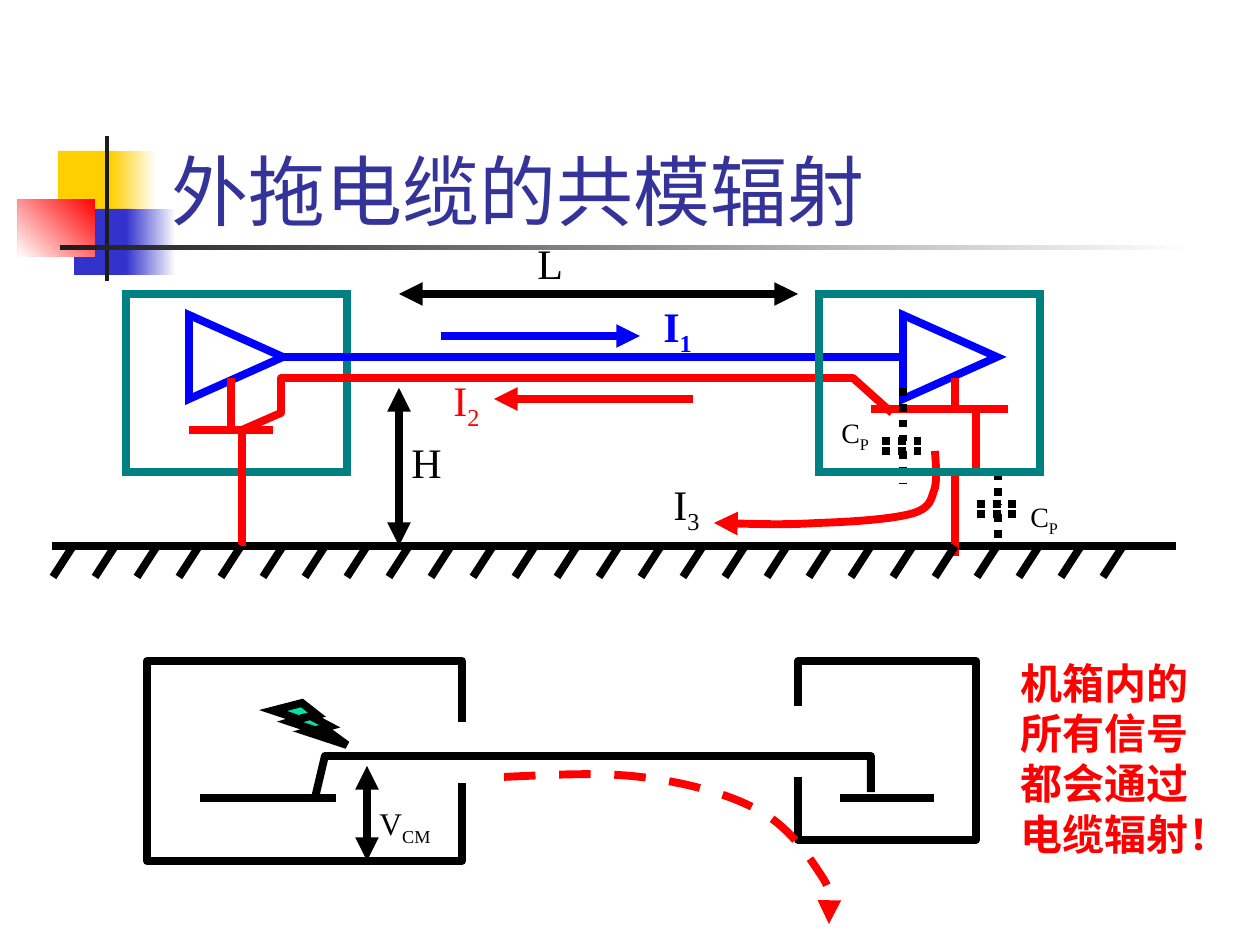
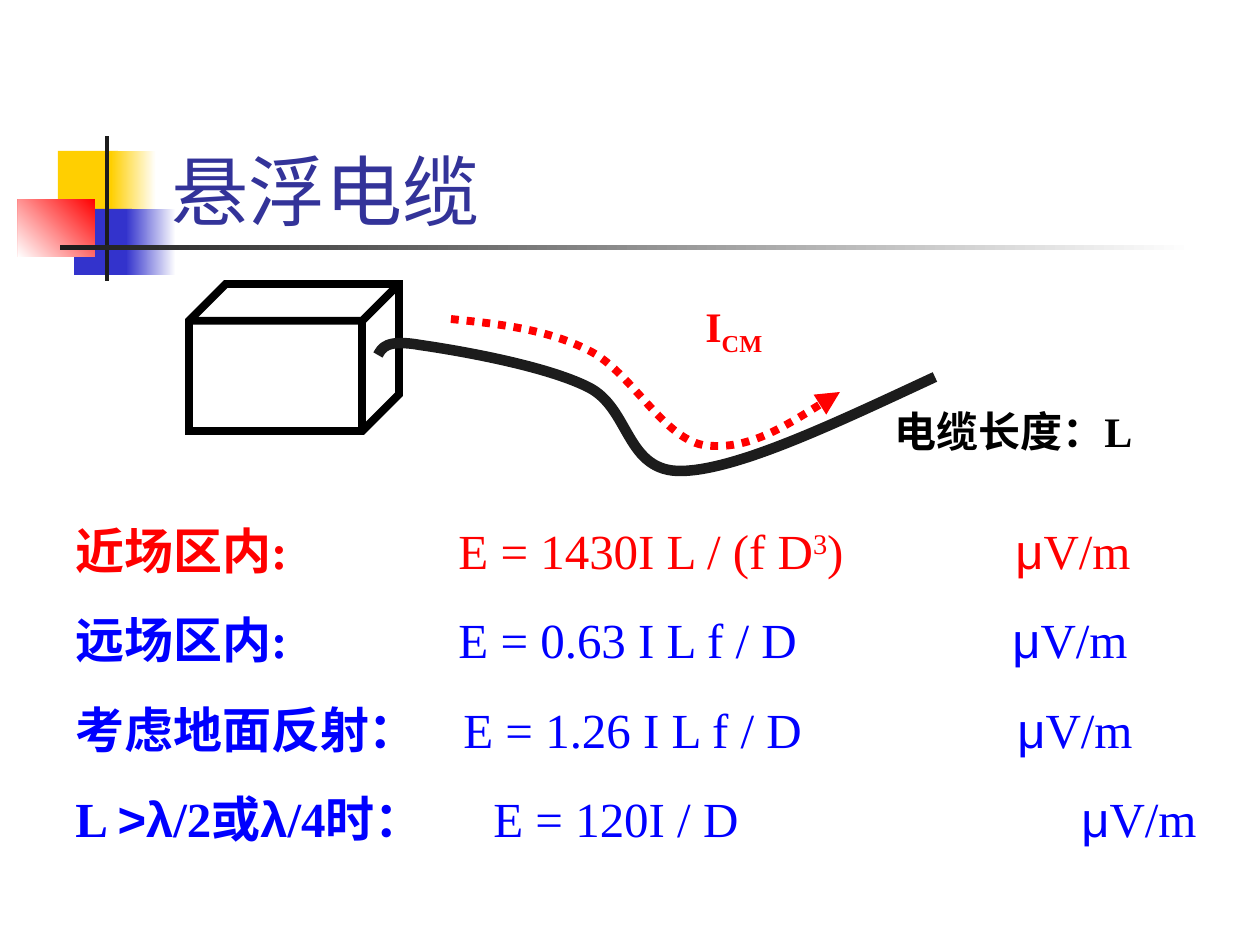
"""Build two slides on common-mode radiation from cables."""
from lxml import etree
from pptx import Presentation
from pptx import util as u
from pptx.dml.color import RGBColor
from pptx.enum import dml, shapes, text
from pptx.oxml.ns import qn

PX = 7257
BLACK = RGBColor(0, 0, 0)
WHITE = RGBColor(255, 255, 255)
RED = RGBColor(255, 0, 0)
BLUE = RGBColor(0, 0, 255)
TEAL = RGBColor(0, 128, 128)
MINT = RGBColor(0, 0xE4, 0xA8)
GOLD = RGBColor(0xFF, 0xCF, 0x01)
INDIGO = RGBColor(0x33, 0x33, 0xCC)
TITLE = RGBColor(0x33, 0x33, 0x99)
INK = RGBColor(0x1C, 0x1C, 0x1C)
DOT = dml.MSO_LINE.ROUND_DOT
DASH = dml.MSO_LINE.DASH
SERIF = "Times New Roman"
KIND = shapes.MSO_SHAPE


def stroke(s, color, pts, width=4.5, dash=None, arrows="", curve=False):
    if len(pts) == 2:
        (x1, y1), (x2, y2) = pts
        sp = s.shapes.add_connector(shapes.MSO_CONNECTOR.STRAIGHT, x1 * PX, y1 * PX, x2 * PX, y2 * PX)
    else:
        fb = s.shapes.build_freeform(*pts[0], scale=PX)
        fb.add_line_segments(pts[1:], close=False)
        sp = fb.convert_to_shape()
        sp.fill.background()
    if curve:
        path = next(sp.element.iter(qn("a:path")))
        steps = path.findall(qn("a:lnTo"))
        for i in range(0, len(steps), 3):
            bezier = etree.SubElement(path, qn("a:cubicBezTo"))
            for step in steps[i:i + 3]:
                bezier.append(step[0])
                path.remove(step)
    sp.line.color.rgb = color
    sp.line.width = u.Pt(width)
    if dash:
        sp.line.dash_style = dash
    ln = sp.line._get_or_add_ln()
    etree.SubElement(ln, qn("a:round"))
    for end in ("headEnd", "tailEnd"):
        if end in arrows:
            etree.SubElement(ln, qn("a:" + end), type="triangle")
    etree.SubElement(sp.element.spPr, qn("a:effectLst"))


def write(p, size, color, runs):
    for words, bold, base, font in runs:
        r = p.add_run()
        r.text = words
        r.font.size = u.Pt(size)
        r.font.bold = bold
        r.font.name = font
        r.font.color.rgb = color
        if base:
            r._r.get_or_add_rPr().set("baseline", str(base * 1000))


prs = Presentation()
prs.slide_width = u.Inches(10)
prs.slide_height = u.Inches(7.5)
layout = prs.slide_layouts[5]
ph = layout.placeholders[0]
ph.left, ph.top, ph.width, ph.height = [v * PX for v in (159, 84, 1074, 158)]
ph.text_frame.vertical_anchor = text.MSO_ANCHOR.BOTTOM

slides = []
for heading in ("外拖电缆的共模辐射", "悬浮电缆"):
    s = prs.slides.add_slide(layout)
    tf = s.shapes.title.text_frame
    tf.auto_size = text.MSO_AUTO_SIZE.NONE
    p = tf.paragraphs[0]
    p.alignment = text.PP_ALIGN.LEFT
    write(p, 44, TITLE, [(heading, False, 0, "Cabin")])
    slides.append(s)
coupled, floating = slides

ornaments = [
    ((58, 151, 60, 66), GOLD, None, 0),
    ((111, 151, 45, 66), WHITE, GOLD, 180),
    ((74, 209, 58, 66), INDIGO, None, 0),
    ((126, 209, 50, 66), WHITE, INDIGO, 180),
    ((18, 199, 77, 58), RED, WHITE, 225),
    ((105, 136, 4, 145), INK, None, 0),
    ((60, 245, 1134, 5), WHITE, INK, 180),
]
tree = layout.element.cSld.spTree
for i, (box, start, end, angle) in enumerate(ornaments):
    sp = coupled.shapes.add_shape(KIND.RECTANGLE, *[v * PX for v in box])
    sp.shadow.inherit = False
    sp.line.fill.background()
    if end is None:
        sp.fill.solid()
        sp.fill.fore_color.rgb = start
    else:
        sp.fill.gradient()
        sp.fill.gradient_angle = angle
        for stop, color in zip(sp.fill.gradient_stops, (start, end)):
            stop.color.rgb = color
    tree.insert(2 + i, sp.element)

outlines = [
    (coupled, KIND.RECTANGLE, (126, 294, 221, 178), TEAL, 0, None),
    (coupled, KIND.ISOSCELES_TRIANGLE, (194, 310, 84, 94), BLUE, 90, None),
    (coupled, KIND.ISOSCELES_TRIANGLE, (908, 310, 84, 94), BLUE, 90, None),
    (coupled, KIND.LIGHTNING_BOLT, (273, 703, 74, 42), BLACK, 0, MINT),
    (floating, KIND.CUBE, (189, 284, 210, 147), BLACK, 0, None),
    (coupled, KIND.RECTANGLE, (819, 294, 221, 178), TEAL, 0, None),
]
for s, kind, box, color, turn, fill in outlines:
    sp = s.shapes.add_shape(kind, *[v * PX for v in box])
    sp.shadow.inherit = False
    sp.rotation = turn
    sp.line.color.rgb = color
    sp.line.width = u.Pt(4.5)
    etree.SubElement(sp.line._get_or_add_ln(), qn("a:miter"), lim="800000")
    if fill:
        sp.fill.solid()
        sp.fill.fore_color.rgb = fill
    else:
        sp.fill.background()
right_case = sp

wires = [
    (BLUE, [(283, 357), (903, 357)]),
    (RED, [(231, 378), (231, 430)]),
    (RED, [(189, 430), (273, 430)]),
    (RED, [(955, 378), (955, 409)]),
    (RED, [(871, 409), (1008, 409)]),
    (RED, [(242, 430), (281, 413), (281, 378), (853, 378), (892, 413)]),
    (BLACK, [(52, 546), (1176, 546)]),
    (RED, [(976, 409), (976, 472)]),
    (RED, [(955, 472), (955, 556)]),
    (RED, [(242, 430), (242, 546)]),
    (BLACK, [(462, 722), (462, 661), (147, 661), (147, 861), (462, 861), (462, 783)]),
    (BLACK, [(200, 798), (336, 798)]),
    (BLACK, [(315, 798), (325, 756), (871, 756), (871, 792)]),
    (BLACK, [(798, 706), (798, 661), (976, 661), (976, 840), (798, 840), (798, 777)]),
    (BLACK, [(840, 798), (934, 798)]),
]
for x in range(73, 73 + 26 * 42, 42):
    wires.append((BLACK, [(x, 546), (x - 20, 577)]))
for color, pts in wires:
    stroke(coupled, color, pts)

for x, top, plate, bottom in ((903, 388, 441, 483), (998, 472, 504, 546)):
    for pts in ([(x, top), (x, plate)], [(x - 21, plate), (x + 21, plate)],
                [(x - 21, plate + 10), (x + 21, plate + 10)], [(x, plate + 10), (x, bottom)]):
        stroke(coupled, BLACK, pts, dash=DOT)

arrows = [
    (BLACK, [(399, 294), (798, 294)], "headEnd tailEnd"),
    (BLUE, [(441, 336), (640, 336)], "tailEnd"),
    (RED, [(494, 399), (693, 399)], "headEnd"),
    (BLACK, [(399, 388), (399, 546)], "headEnd tailEnd"),
    (BLACK, [(367, 766), (367, 861)], "headEnd tailEnd"),
]
for color, pts, ends in arrows:
    stroke(coupled, color, pts, arrows=ends)

curves = [
    (coupled, RED, 4.5, None, "tailEnd",
     [(935, 451), (936, 465), (937, 478), (935, 488), (931, 498), (932, 507), (914, 513),
      (895, 519), (852, 522), (819, 523), (786, 525), (750, 524), (714, 523)]),
    (coupled, RED, 4.5, DASH, "tailEnd",
     [(504, 777), (551, 775), (599, 772), (640, 777), (683, 782), (726, 793), (756, 809),
      (786, 824), (806, 852), (819, 872), (832, 891), (830, 907), (829, 924)]),
    (floating, INK, 6, None, "",
     [(378, 355), (382, 348), (386, 339), (420, 345), (455, 350), (544, 365), (588, 387),
      (631, 408), (625, 473), (683, 471), (740, 469), (838, 422), (935, 377)]),
    (floating, RED, 4.5, DOT, "tailEnd",
     [(451, 319), (499, 324), (546, 329), (588, 350), (630, 370), (662, 437), (703, 445),
      (746, 451), (793, 422), (840, 392)]),
]
for s, color, width, dash, ends, pts in curves:
    stroke(s, color, pts, width, dash, ends, curve=True)
right_case.element.getparent().append(right_case.element)

labels = [
    (coupled, (525, 231, 63, 63), 24, BLACK, False, "L", ""),
    (coupled, (441, 368, 63, 70), 24, RED, False, "I", "2"),
    (coupled, (399, 430, 63, 63), 24, BLACK, False, "H", ""),
    (coupled, (829, 409, 74, 52), 16, BLACK, False, "C", "P"),
    (coupled, (661, 472, 63, 70), 24, BLACK, False, "I", "3"),
    (coupled, (651, 294, 63, 70), 24, BLUE, True, "I", "1"),
    (coupled, (1018, 493, 74, 52), 16, BLACK, False, "C", "P"),
    (coupled, (367, 798, 105, 56), 18, BLACK, False, "V", "CM"),
    (coupled, (1008, 651, 210, 214), 24, RED, True, "机箱内的所有信号都会通过电缆辐射！", ""),
    (floating, (693, 294, 105, 70), 24, RED, True, "I", "CM"),
    (floating, (882, 399, 305, 63), 24, BLACK, True, "电缆长度：L", ""),
]
for s, box, size, color, bold, words, sub in labels:
    tf = s.shapes.add_textbox(*[v * PX for v in box]).text_frame
    tf.word_wrap = True
    runs = [(words, bold, 0, SERIF)]
    if sub:
        runs.append((sub, bold, -25, SERIF))
    write(tf.paragraphs[0], size, color, runs)

formulas = [
    (RED, (383, 940), [("近场区内:", True, 0, SERIF), ("\tE = 1430I L / (f D", False, 0, SERIF),
                       ("3", False, 30, SERIF), (")", False, 0, SERIF)]),
    (BLUE, (383, 937), [("远场区内:", True, 0, SERIF), ("\tE = 0.63 I L f / D", False, 0, SERIF)]),
    (BLUE, (388, 942), [("考虑地面反射：", True, 0, SERIF), ("\tE = 1.26 I L f / D", False, 0, SERIF)]),
    (BLUE, (418, 1006), [("L ", True, 0, SERIF), (">λ", True, 0, "Arial"), ("/2或", True, 0, SERIF),
                         ("λ", True, 0, "Arial"), ("/4时：", True, 0, SERIF),
                         ("\tE = 120I / D", False, 0, SERIF)]),
]
unit = [("\t", False, 0, SERIF), ("μ", False, 0, "Arial"), ("V/m", False, 0, SERIF)]
tf = floating.shapes.add_textbox(*[v * PX for v in (63, 514, 1155, 357)]).text_frame
tf.word_wrap = True
for i, (color, stops, runs) in enumerate(formulas):
    p = tf.add_paragraph() if i else tf.paragraphs[0]
    tabs = etree.SubElement(p._p.get_or_add_pPr(), qn("a:tabLst"))
    for stop in stops:
        etree.SubElement(tabs, qn("a:tab"), pos=str(stop * PX), algn="l")
    if i:
        p.space_before = u.Pt(17.5)
    write(p, 28, color, runs + unit)

prs.save("out.pptx")
